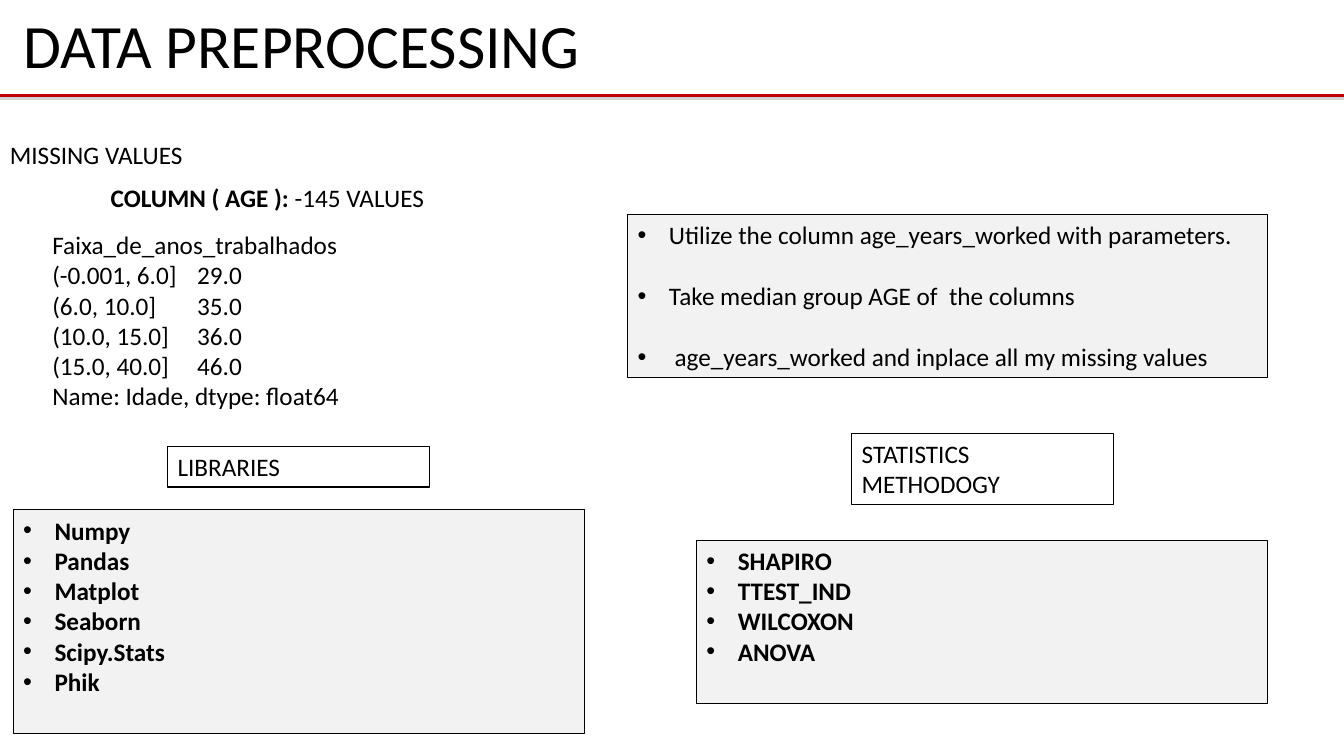
import pptx
import pptx.dml.color
import pptx.enum.shapes
import pptx.enum.text
import pptx.util
from lxml import etree
from pptx.oxml.ns import qn

Cm, Pt = pptx.util.Cm, pptx.util.Pt
RGBColor = pptx.dml.color.RGBColor
BLACK = RGBColor(0x00, 0x00, 0x00)
WHITE = RGBColor(0xFF, 0xFF, 0xFF)
GREY = RGBColor(0xF2, 0xF2, 0xF2)
RED = RGBColor(0xC0, 0x00, 0x00)
SHADOW = RGBColor(0xD2, 0xD2, 0xD2)
WIDTH = 33.87


def write(tf, text, *, size=18, bold=False, lead="", bullet=False, tab=None,
          gap=0, spacing=1.0, anchor=pptx.enum.text.MSO_ANCHOR.TOP):
    tf.word_wrap = True
    tf.auto_size = pptx.enum.text.MSO_AUTO_SIZE.NONE
    tf.vertical_anchor = anchor
    for i, line in enumerate(text.split("\n")):
        p = tf.add_paragraph() if i else tf.paragraphs[0]
        p.alignment = pptx.enum.text.PP_ALIGN.LEFT
        p.line_spacing = spacing
        p.space_before = Pt(gap if i else 0)
        pPr = p._p.get_or_add_pPr()
        if bullet:
            pPr.set("marL", str(Cm(0.79)))
            pPr.set("indent", str(-Cm(0.79)))
            etree.SubElement(pPr, qn("a:buFont"), typeface="Arial")
            etree.SubElement(pPr, qn("a:buChar"), char="•")
        if tab and "\t" in line:
            tabs = etree.SubElement(pPr, qn("a:tabLst"))
            etree.SubElement(tabs, qn("a:tab"), pos=str(Cm(tab)), algn="l")
        for part, heavy in ((lead, True), (line, bold)):
            if part:
                r = p.add_run()
                r.text = part
                r.font.name = "Calibri"
                r.font.size = Pt(size)
                r.font.bold = heavy
                r.font.color.rgb = BLACK


def place(sp, left, top, width, height):
    sp.left, sp.top, sp.width, sp.height = map(Cm, (left, top, width, height))


def add_text(s, text, box, **style):
    write(s.shapes.add_textbox(*map(Cm, box)).text_frame, text, **style)


def fill_box(sp, text, box, fill, weight, **style):
    place(sp, *box)
    sp.fill.solid()
    sp.fill.fore_color.rgb = fill
    sp.line.color.rgb = BLACK
    sp.line.width = Pt(weight)
    write(sp.text_frame, text, **style)


def add_heading(sp, text, box):
    fill_box(sp, text, box, WHITE, 1)


def add_list(sp, text, box, **style):
    fill_box(sp, text, box, GREY, 0.75, bullet=True, **style)


def add_rule(s, top):
    line = s.shapes.add_connector(pptx.enum.shapes.MSO_CONNECTOR.STRAIGHT,
                                  Cm(WIDTH), Cm(top), Cm(0), Cm(top))
    line.line.color.rgb = RED
    line.line.width = Pt(2.25)
    effects = etree.SubElement(line._element.spPr, qn("a:effectLst"))
    shadow = etree.SubElement(effects, qn("a:outerShdw"), blurRad="0",
                              dist=str(Pt(2)), dir="5400000", rotWithShape="0")
    etree.SubElement(shadow, qn("a:srgbClr"), val=str(SHADOW))


def main():
    prs = pptx.Presentation()
    prs.slide_width, prs.slide_height = Cm(WIDTH), Cm(19.05)
    s = prs.slides.add_slide(prs.slide_layouts.get_by_name("Comparison"))
    holders = {sp.placeholder_format.idx: sp for sp in s.placeholders}

    add_rule(s, 2.41)
    place(s.shapes.title, 0.33, 0.33, 32.61, 1.8)
    write(s.shapes.title.text_frame, "DATA PREPROCESSING", size=44, spacing=0.9,
          anchor=pptx.enum.text.MSO_ANCHOR.MIDDLE)

    add_text(s, "MISSING VALUES", (0, 3.38, 22.81, 1.02))
    add_text(s, "-145 VALUES", (2.54, 4.47, 21.95, 1.02), lead="COLUMN ( AGE ): ")
    add_text(s, "Faixa_de_anos_trabalhados\n"
                "(-0.001, 6.0]\t29.0\n"
                "(6.0, 10.0]\t35.0\n"
                "(10.0, 15.0]\t36.0\n"
                "(15.0, 40.0]\t46.0\n"
                "Name: Idade, dtype: float64", (1.07, 5.66, 14.8, 4.88), tab=3.65)

    advice = s.shapes.add_textbox(0, 0, 0, 0)
    add_list(advice, "Utilize the column age_years_worked with parameters.\n"
                     "Take median group AGE of  the columns\n"
                     " age_years_worked and inplace all my missing values",
             (15.82, 5.41, 16.13, 4.11), gap=22)

    add_heading(holders[1], "LIBRARIES", (4.22, 11.25, 6.6, 1.02))
    add_list(holders[2], "Numpy\nPandas\nMatplot\nSeaborn\nScipy.Stats\nPhik",
             (0.33, 12.85, 14.4, 5.64), bold=True)
    add_heading(holders[3], "STATISTICS METHODOGY", (21.46, 10.92, 6.6, 1.8))
    add_list(holders[4], "SHAPIRO\nTTEST_IND\nWILCOXON\nANOVA",
             (17.55, 13.61, 14.4, 4.11), bold=True)

    prs.save("out.pptx")


if __name__ == "__main__":
    main()
